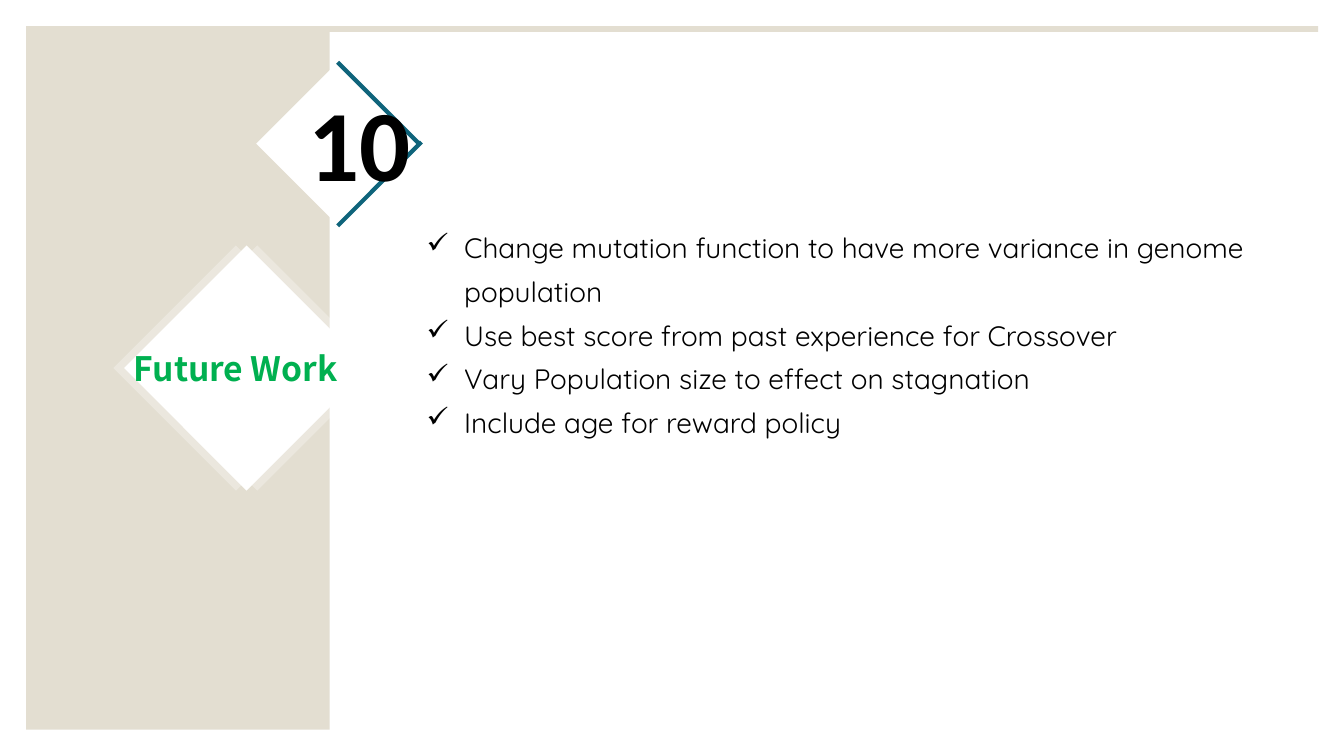
"""Build the "Future Work" section slide with its diamond markers and checklist."""
from lxml import etree
from pptx import Presentation
from pptx import util as u
from pptx.dml.color import RGBColor
from pptx.enum import shapes, text
from pptx.oxml import ns

BEIGE = RGBColor(0xE3, 0xDE, 0xD1)
WHITE = RGBColor(0xFF, 0xFF, 0xFF)
TEAL = RGBColor(0x0F, 0x64, 0x7B)
GREEN = RGBColor(0x00, 0xB0, 0x50)
BLACK = RGBColor(0x00, 0x00, 0x00)

deck = Presentation()
deck.slide_width, deck.slide_height = u.Cm(33.87), u.Cm(19.05)
slide = deck.slides.add_slide(deck.slide_layouts[6])


def add_block(left, top, width, height, color, rotation=0, opacity=100):
    block = slide.shapes.add_shape(
        shapes.MSO_SHAPE.RECTANGLE, u.Cm(left), u.Cm(top), u.Cm(width), u.Cm(height))
    block.shadow.inherit = False
    block.rotation = rotation
    block.fill.solid()
    block.fill.fore_color.rgb = color
    block.line.fill.background()
    if opacity < 100:
        tint = block.fill._xPr.find(".//" + ns.qn("a:srgbClr"))
        etree.SubElement(tint, ns.qn("a:alpha"), val=str(opacity * 1000))


def add_words(left, top, width, height, lines, font, size, color, bold=False):
    frame = slide.shapes.add_textbox(
        u.Cm(left), u.Cm(top), u.Cm(width), u.Cm(height)).text_frame
    frame.word_wrap = True
    frame.auto_size = text.MSO_AUTO_SIZE.SHAPE_TO_FIT_TEXT
    frame.text = "\n".join(lines)
    for paragraph in frame.paragraphs:
        for run in paragraph.runs:
            run.font.name = font
            run.font.size = u.Pt(size)
            run.font.bold = bold
            run.font.color.rgb = color
    return frame


add_block(0.66, 0.66, 32.56, 17.73, BEIGE)
add_block(8.31, 0.81, 25.35, 18.24, WHITE)

add_block(7.06, 2.16, 2.92, 2.92, WHITE, rotation=45)
for start_x, start_y, end_x, end_y in ((8.51, 1.57, 10.57, 3.63), (10.62, 3.58, 8.51, 5.69)):
    chevron_arm = slide.shapes.add_connector(
        shapes.MSO_CONNECTOR.STRAIGHT, u.Cm(start_x), u.Cm(start_y), u.Cm(end_x), u.Cm(end_y))
    chevron_arm.line.color.rgb = TEAL
    chevron_arm.line.width = u.Pt(3)
    etree.SubElement(chevron_arm._element.spPr, ns.qn("a:effectLst"))
add_words(7.52, 1.9, 3.3, 3.33, ["10"], "Calibri", 72, BLACK, bold=True)

for diamond_left, opacity in ((4.3, 30), (3.76, 30), (4.03, 100)):
    add_block(diamond_left, 7.09, 4.37, 4.37, WHITE, rotation=45, opacity=opacity)
add_words(3.12, 8.64, 6, 1.27, ["Future Work"], "Noto Sans CJK SC", 24, GREEN, bold=True)

ideas = [
    "Change mutation function to have more variance in genome population",
    "Use best score from past experience for Crossover",
    "Vary Population size to effect on stagnation",
    "Include age for reward policy",
]
checklist = add_words(10.57, 5.46, 22.76, 5.64, ideas, "Quicksand", 20, BLACK)
checklist.margin_left = checklist.margin_right = u.Cm(0.18)
checklist.margin_top = checklist.margin_bottom = u.Cm(0.1)
for idea in checklist.paragraphs:
    idea.line_spacing = 1.3
    properties = idea._p.get_or_add_pPr()
    properties.set("marL", str(u.Cm(0.95)))
    properties.set("indent", str(-u.Cm(0.95)))
    etree.SubElement(properties, ns.qn("a:buChar"), char="✓")

deck.save("out.pptx")
